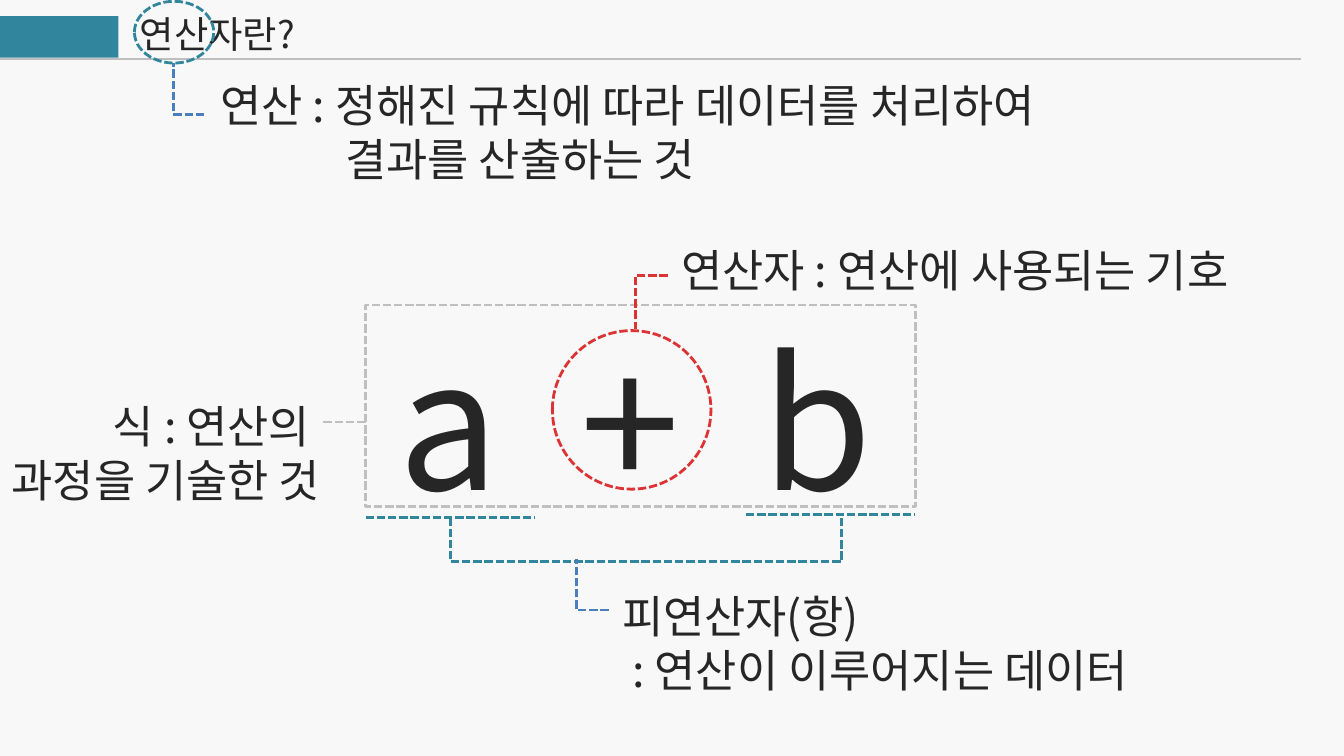
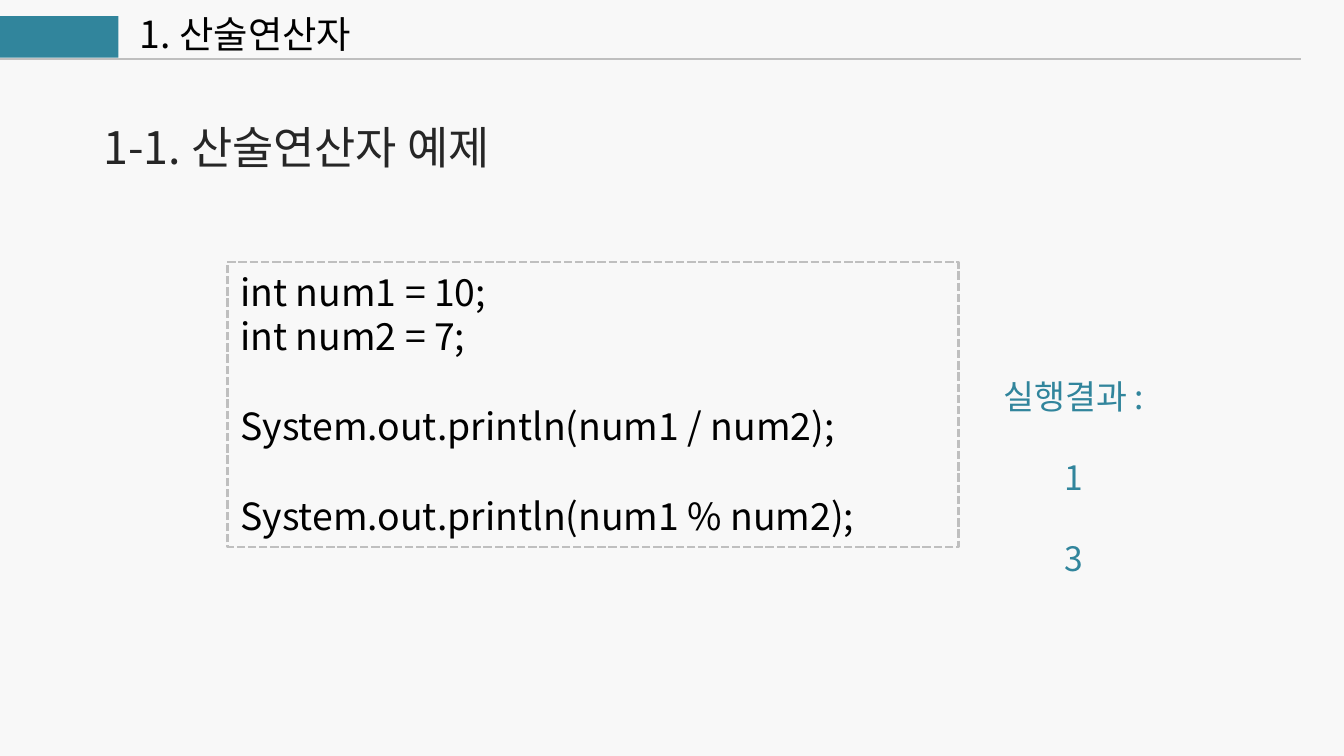
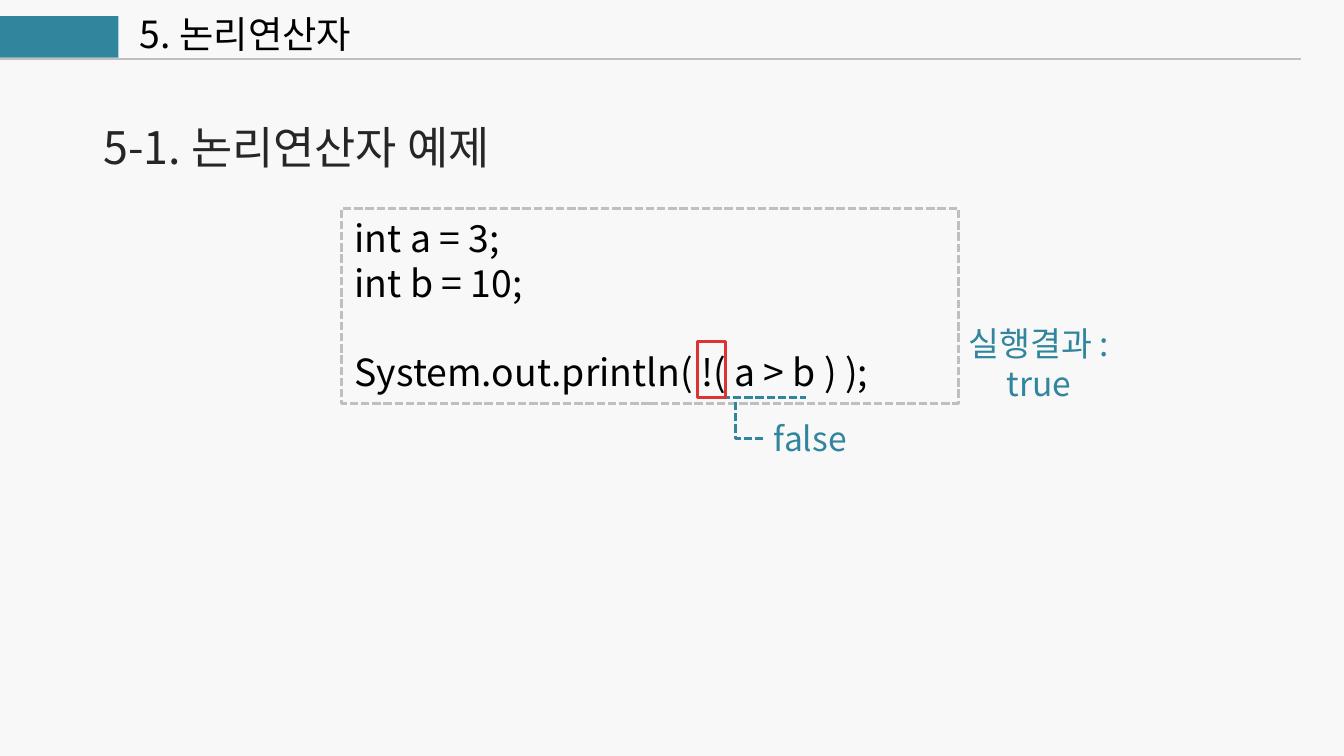
from dataclasses import dataclass

from lxml import etree
from pptx import Presentation
from pptx.dml.color import RGBColor
from pptx.enum.dml import MSO_LINE
from pptx.enum.shapes import MSO_CONNECTOR, MSO_SHAPE
from pptx.enum.text import MSO_ANCHOR, PP_ALIGN
from pptx.oxml.ns import qn
from pptx.util import Inches, Pt

RECT, OVAL = MSO_SHAPE.RECTANGLE, MSO_SHAPE.OVAL
STRAIGHT, ELBOW = MSO_CONNECTOR.STRAIGHT, MSO_CONNECTOR.ELBOW
LEFT, MID, RIGHT = PP_ALIGN.LEFT, PP_ALIGN.CENTER, PP_ALIGN.RIGHT
TOP = MSO_ANCHOR.TOP
DASH = MSO_LINE.SQUARE_DOT
COLS = 10
ROWS = COLS * 9 / 16


@dataclass(frozen=True)
class Theme:
    """Colours, font and type sizes of the deck."""
    back: str = "F8F8F8"
    teal: str = "31859C"
    blue: str = "4B7EBC"
    red: str = "DC3434"
    gray: str = "BFBFBF"
    dark: str = "262626"
    black: str = "000000"
    font: str = "Noto Sans CJK KR"
    huge: int = 96
    head: int = 24
    code: int = 20
    note: int = 18
    rule: float = 1
    dash: float = 1.5
    lead: float = 1.2


T = Theme()


def grid(*cells):
    """Turn grid cells, ten to the slide's width, into lengths."""
    return [Inches(cell) for cell in cells]


def rgb(tone):
    """Turn a hex string into a colour."""
    return RGBColor.from_string(tone)


def write(shape, lines, size=T.head, tone=T.dark, align=LEFT, wrap=True,
          hang=0, tabs=(), gaps=()):
    """Write lines as paragraphs; gaps lists those set one line lower."""
    frame = shape.text_frame
    frame.word_wrap = wrap
    frame.vertical_anchor = TOP
    for i, line in enumerate(lines):
        para = frame.add_paragraph() if i else frame.paragraphs[0]
        para.text = line
        para.alignment = align
        para.space_before = Pt(size * T.lead if i in gaps else 0)
        props = para._p.get_or_add_pPr()
        if hang:
            props.set("marL", str(Inches(hang)))
            props.set("indent", str(-Inches(hang)))
        if tabs:
            stops = etree.SubElement(props, qn("a:tabLst"))
            for tab in tabs:
                etree.SubElement(stops, qn("a:tab"), pos=str(Inches(tab)),
                                 algn="l")
        for run in para.runs:
            run.font.size = Pt(size)
            run.font.color.rgb = rgb(tone)
            run.font.name = T.font
            look = run._r.get_or_add_rPr()
            look.set("kern", "0")
            etree.SubElement(look, qn("a:ea"), typeface=T.font)


def label(slide, area, *lines, **form):
    """Add a text box."""
    write(slide.shapes.add_textbox(*grid(*area)), lines, **form)


def stroke(item, tone, width=T.dash, dash=DASH):
    """Format the line of a shape or connector."""
    item.line.color.rgb = rgb(tone)
    item.line.width = Pt(width)
    if dash:
        item.line.dash_style = dash


def frame(slide, kind, area, tone, dash=DASH):
    """Add an unfilled outline shape."""
    shape = slide.shapes.add_shape(kind, *grid(*area))
    shape.shadow.inherit = False
    shape.fill.background()
    stroke(shape, tone, dash=dash)
    return shape


def link(slide, start, end, tone, kind=STRAIGHT, **form):
    """Add a line; an elbow runs level first, then upright."""
    line = slide.shapes.add_connector(kind, *grid(*start, *end))
    stroke(line, tone, **form)
    props = line._element.spPr
    etree.SubElement(props, qn("a:effectLst"))
    if kind == ELBOW:
        guides = props.find(qn("a:prstGeom")).get_or_add_avLst()
        etree.SubElement(guides, qn("a:gd"), name="adj1", fmla="val 100000")


def trace(slide, points, tone):
    """Add an open dashed path through points."""
    first, *rest = [grid(*point) for point in points]
    pen = slide.shapes.build_freeform(*first)
    pen.add_line_segments(rest, close=False)
    shape = pen.convert_to_shape()
    shape.shadow.inherit = False
    shape.fill.background()
    stroke(shape, tone)


def start(deck, title, tone=T.black):
    """Add a slide with its title, band and rule."""
    slide = deck.slides.add_slide(deck.slide_layouts[5])
    head = slide.shapes.title
    head.left, head.top, head.width, head.height = grid(.94, .03, 2.17, .44)
    write(head, [title], size=T.code, tone=tone)
    band = slide.shapes.add_shape(RECT, *grid(-.01, .12, .89, .31))
    band.shadow.inherit = False
    band.fill.solid()
    band.fill.fore_color.rgb = rgb(T.teal)
    band.line.fill.background()
    link(slide, (-.01, .44), (9.68, .44), T.gray, width=T.rule, dash=None)
    return slide


def terms(deck):
    """Explain the parts of an expression."""
    slide = start(deck, "연산자란?", T.dark)
    label(slide, (2.87, 2.27, 4.41, 1.72), "a\t+\tb", size=T.huge,
          tabs=(1.35, 2.7))
    label(slide, (1.54, .53, 7.72, .91),
          "연산 : 정해진 규칙에 따라 데이터를 처리하여 \v결과를 산출하는 것", hang=.93)
    frame(slide, OVAL, (1, .01, .59, .46), T.teal)
    link(slide, (1.52, .85), (1.29, .47), T.blue, ELBOW)

    link(slide, (2.72, 3.85), (3.98, 3.85), T.teal)
    link(slide, (5.55, 3.83), (6.81, 3.83), T.teal)
    trace(slide, [(3.35, 3.85), (3.35, 4.18), (6.26, 4.18), (6.26, 3.84)],
          T.teal)
    link(slide, (4.53, 4.54), (4.29, 4.16), T.blue, ELBOW)
    label(slide, (4.53, 4.33, 7.72, .91),
          "피연산자(항)", " : 연산이 이루어지는 데이터")

    frame(slide, RECT, (2.72, 2.27, 4.09, 1.5), T.gray)
    link(slide, (2.72, 3.14), (2.4, 3.14), T.gray)
    label(slide, (-1.61, 2.92, 4.09, .91),
          "식 : 연산의 \v과정을 기술한 것", align=RIGHT)

    frame(slide, OVAL, (4.11, 2.46, 1.18, 1.18), T.red)
    link(slide, (4.97, 2.05), (4.73, 2.45), T.red, ELBOW)
    label(slide, (4.97, 1.76, 7.72, .5), "연산자 : 연산에 사용되는 기호")


def sample(deck, title, head, area, code, gaps):
    """Add a slide with a heading and a framed code sample."""
    slide = start(deck, title)
    label(slide, (.67, .84, 3.39, .5), head)
    write(frame(slide, RECT, area, T.gray), code, size=T.code, tone=T.black,
          gaps=gaps)
    return slide


def result(slide, area, *lines, **form):
    """Add centred output text."""
    label(slide, area, *lines, size=T.note, tone=T.teal, align=MID,
          wrap=False, **form)


def maths(deck):
    """Show division and remainder."""
    code = ["int num1 = 10;", "int num2 = 7;",
            "System.out.println(num1 / num2);",
            "System.out.println(num1 % num2);"]
    slide = sample(deck, "1. 산술연산자", "1-1. 산술연산자 예제",
                   (1.69, 1.95, 5.44, 2.12), code, (2, 3))
    result(slide, (7.36, 2.75, 1.26, 1.31), "실행결과 :", "1", "3",
           gaps=(1, 2))


def logic(deck):
    """Show negation of a comparison."""
    code = ["int a = 3;", "int b = 10;", "System.out.println( !( a > b ) );"]
    slide = sample(deck, "5. 논리연산자", "5-1. 논리연산자 예제",
                   (2.54, 1.55, 4.59, 1.45), code, (2,))
    result(slide, (7.1, 2.35, 1.26, .71), "실행결과 :", "true")
    result(slide, (5.65, 3.06, .76, .4), "false")
    link(slide, (5.37, 2.96), (6, 2.96), T.teal)
    trace(slide, [(5.68, 3.26), (5.47, 3.26), (5.47, 2.97)], T.teal)
    frame(slide, RECT, (5.19, 2.54, .21, .42), T.red, dash=None)


def main():
    """Build and save the deck."""
    deck = Presentation()
    deck.slide_width, deck.slide_height = grid(COLS, ROWS)
    fill = deck.slide_master.background.fill
    fill.solid()
    fill.fore_color.rgb = rgb(T.back)
    terms(deck)
    maths(deck)
    logic(deck)
    deck.save("out.pptx")


main()
